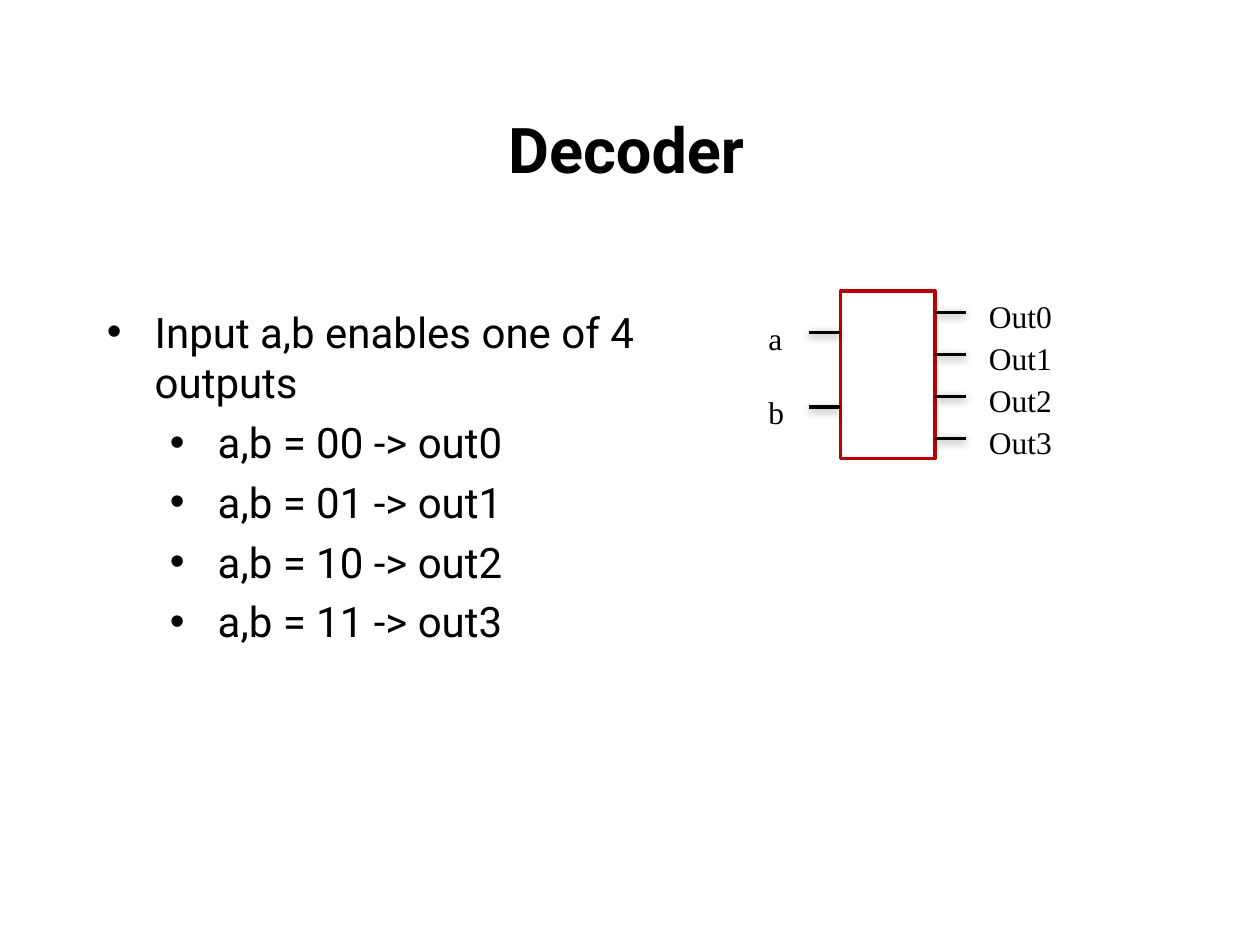
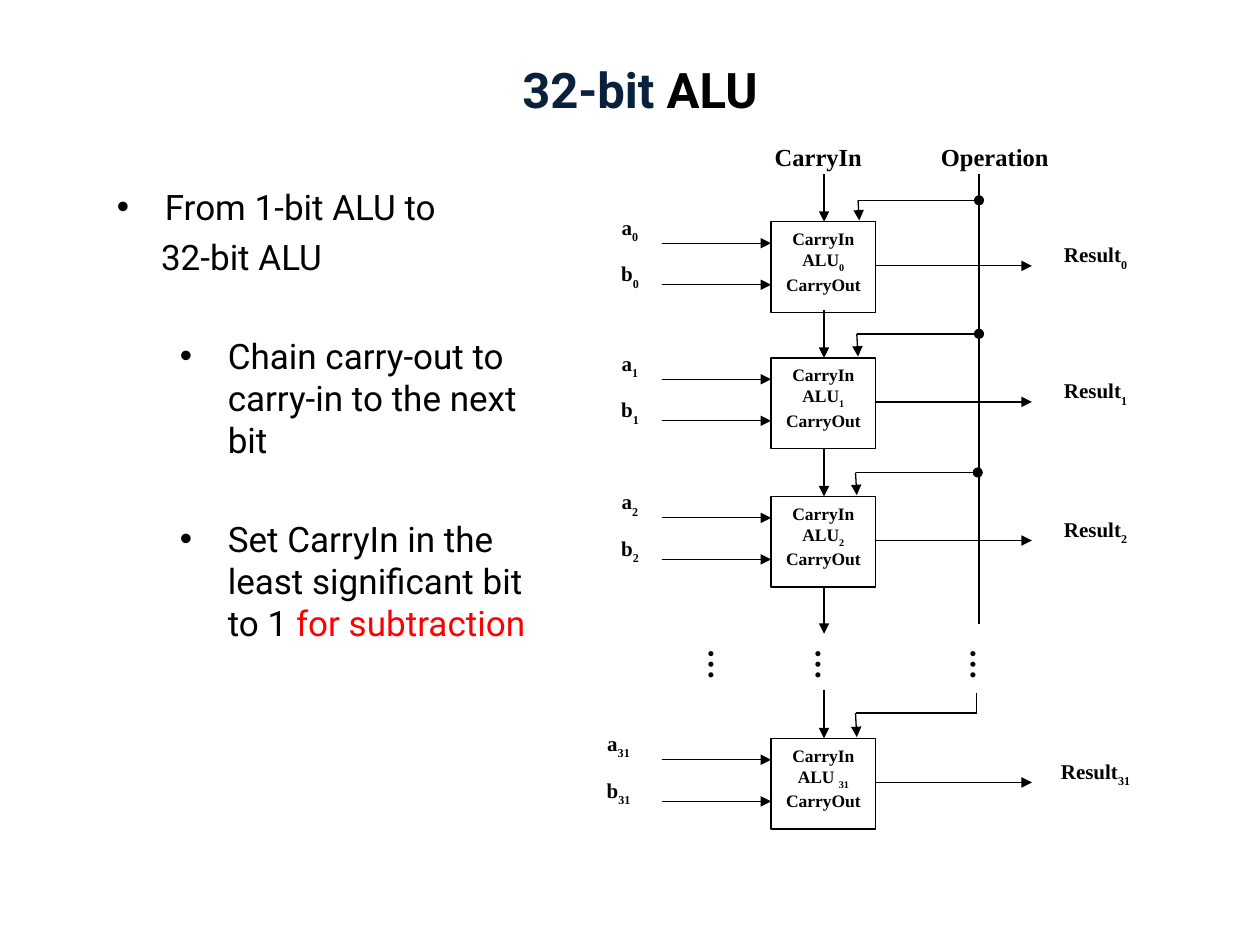
from dataclasses import dataclass
from typing import Optional

from lxml import etree
from pptx import Presentation
from pptx import util as u
from pptx.dml.color import RGBColor
from pptx.enum import shapes, text
from pptx.oxml import ns

COLORS = {"ink": "000000", "paper": "FFFFFF", "navy": "09213B",
          "alert": "FF0000", "block": "C00000"}
SANS, SERIF = "Roboto", "Times New Roman"
LEFT, CENTER = text.PP_ALIGN.LEFT, text.PP_ALIGN.CENTER


@dataclass(frozen=True)
class Piece:
    """One run of text."""
    words: str
    color: str = "ink"
    subscript: bool = False


@dataclass(frozen=True)
class Style:
    font: str
    size: float
    bold: bool = False
    align: text.PP_ALIGN = LEFT


@dataclass(frozen=True)
class Point:
    """One paragraph of body text; indents in inches, space before in points."""
    pieces: tuple[Piece, ...]
    margin: float
    space: float = 0
    bullet: bool = True


@dataclass(frozen=True)
class Stage:
    """One ALU of the chain, with the corner of its Operation branch."""
    index: str
    top: float
    branch_x: float
    branch_y: float
    tap_x: Optional[float] = None
    name: str = "ALU"
    operand_left: float = 4.76


TITLE_SLIDE_1 = Style(SANS, 36, True, CENTER)
TITLE_SLIDE_2 = Style(SANS, 28, True, CENTER)
PIN = Style(SERIF, 18)
ALU_TEXT = Style(SERIF, 10, True, CENTER)
SIGNAL = Style(SERIF, 12, True, CENTER)
HEADING = Style(SERIF, 14, True, CENTER)
DOTS = Style(SERIF, 18, True, CENTER)

HANG, LEVEL_1, LEVEL_2 = 0.38, 0.38, 0.88
TIGHT = 0.05

DECODER_POINTS = [
    Point((Piece("Input a,b enables one of 4 outputs"),), LEVEL_1),
    *(Point((Piece(f"a,b = {code:02b} -> out{code}"),), LEVEL_2, 5.4)
      for code in range(4)),
]
ALU_POINTS = [
    Point((Piece("From 1-bit ALU to"),), LEVEL_1),
    Point((Piece("32-bit ALU"),), 0.35, 4.6, bullet=False),
    Point((Piece("Chain carry-out to carry-in to the next bit"),), LEVEL_2, 32.6),
    Point((Piece("Set CarryIn in the least significant bit to 1 "),
           Piece("for subtraction", "alert")), LEVEL_2, 32.6),
]
STAGES = [
    Stage("0", 1.76, 6.81, 1.59, 7.77),
    Stage("1", 2.84, 6.80, 2.65, 7.77),
    Stage("2", 3.94, 6.79, 3.75, 7.76),
    Stage("31", 5.86, 6.79, 5.66, name="ALU ", operand_left=4.58),
]


def rgb(name: str) -> RGBColor:
    return RGBColor.from_string(COLORS[name])


def add_runs(paragraph, pieces: tuple[Piece, ...], style: Style) -> None:
    paragraph.alignment = style.align
    for piece in pieces:
        run = paragraph.add_run()
        run.text = piece.words
        run.font.name = style.font
        run.font.size = u.Pt(style.size)
        run.font.bold = style.bold
        run.font.color.rgb = rgb(piece.color)
        if piece.subscript:
            run.font._element.set("baseline", "-30000")


def set_up_frame(frame, inset: Optional[float] = None) -> None:
    frame.word_wrap = True
    frame.vertical_anchor = text.MSO_ANCHOR.TOP
    if inset is not None:
        frame.margin_left = frame.margin_right = u.Inches(inset)
        frame.margin_top = frame.margin_bottom = u.Inches(inset)


def add_label(slide, left: float, top: float, width: float, height: float,
              pieces: tuple[Piece, ...], style: Style,
              inset: Optional[float] = None, rotation: float = 0) -> None:
    box = slide.shapes.add_textbox(*map(u.Inches, (left, top, width, height)))
    box.rotation = rotation
    set_up_frame(box.text_frame, inset)
    add_runs(box.text_frame.paragraphs[0], pieces, style)


def add_body(slide, left: float, top: float, width: float, height: float,
             points: list[Point], size: float) -> None:
    box = slide.shapes.add_textbox(*map(u.Inches, (left, top, width, height)))
    set_up_frame(box.text_frame)
    for number, point in enumerate(points):
        frame = box.text_frame
        paragraph = frame.add_paragraph() if number else frame.paragraphs[0]
        if number:
            paragraph.space_before = u.Pt(point.space)
        properties = paragraph._p.get_or_add_pPr()
        properties.set("marL", str(u.Inches(point.margin)))
        if point.bullet:
            properties.set("indent", str(-u.Inches(HANG)))
            font = etree.SubElement(properties, ns.qn("a:buFont"))
            font.set("typeface", "Arial")
            etree.SubElement(properties, ns.qn("a:buChar")).set("char", "•")
        add_runs(paragraph, point.pieces, Style(SANS, size))


def add_shape(slide, kind: shapes.MSO_SHAPE, left: float, top: float,
              width: float, height: float, line: str, weight: float,
              fill: Optional[str] = None):
    shape = slide.shapes.add_shape(kind, *map(u.Inches, (left, top, width, height)))
    shape.shadow.inherit = False
    if fill:
        shape.fill.solid()
        shape.fill.fore_color.rgb = rgb(fill)
    else:
        shape.fill.background()
    shape.line.color.rgb = rgb(line)
    shape.line.width = u.Pt(weight)
    return shape


def add_wire(slide, x1: float, y1: float, x2: float, y2: float,
             weight: float = 0.75, arrow: bool = False, shadow: bool = False) -> None:
    wire = slide.shapes.add_connector(shapes.MSO_CONNECTOR.STRAIGHT,
                                      *map(u.Inches, (x1, y1, x2, y2)))
    wire.line.color.rgb = rgb("ink")
    wire.line.width = u.Pt(weight)
    if arrow:
        etree.SubElement(wire.line._get_or_add_ln(), ns.qn("a:tailEnd")).set("type", "triangle")
    effects = etree.SubElement(wire._element.spPr, ns.qn("a:effectLst"))
    if shadow:
        cast = etree.SubElement(effects, ns.qn("a:outerShdw"), blurRad=str(u.Pt(5)),
                                dist=str(u.Pt(1.6)), dir="5400000", rotWithShape="0")
        tint = etree.SubElement(cast, ns.qn("a:srgbClr"), val=COLORS["ink"])
        etree.SubElement(tint, ns.qn("a:alpha"), val="38000")


def build_decoder(slide) -> None:
    add_body(slide, 0.75, 2.38, 4.83, 4.62, DECODER_POINTS, 24)
    left, top, width, pin_length = 6.67, 2.31, 0.75, 0.25
    right = left + width
    add_shape(slide, shapes.MSO_SHAPE.RECTANGLE, left, top, width, 1.33,
              "block", 2, "paper")
    for name, y in (("a", 2.64), ("b", 3.23)):
        add_wire(slide, left - pin_length, y, left, y, 2, shadow=True)
        add_label(slide, 6, y - 0.16, 0.33, 0.4, (Piece(name),), PIN)
    for output in range(4):
        y = top + 0.17 + output / 3
        add_wire(slide, right, y, right + pin_length, y, 2, shadow=True)
        add_label(slide, 7.75, y - 0.17, 1, 0.4, (Piece(f"Out{output}"),), PIN)
    add_label(slide, 0.72, 0.83, 8.5, 0.71, (Piece("Decoder"),), TITLE_SLIDE_1)


def add_stage(slide, stage: Stage) -> None:
    left, width, height, carry_x, bus_x = 6.12, 0.83, 0.72, 6.54, 7.75
    top, index = stage.top, Piece(stage.index, subscript=True)
    alu = add_shape(slide, shapes.MSO_SHAPE.RECTANGLE, left, top, width, height,
                    "ink", 0.75)
    frame = alu.text_frame
    set_up_frame(frame, TIGHT)
    add_runs(frame.paragraphs[0], (Piece("CarryIn"),), ALU_TEXT)
    add_runs(frame.add_paragraph(), (Piece(stage.name), index), ALU_TEXT)
    add_runs(frame.add_paragraph(), (Piece("CarryOut"),), ALU_TEXT)

    operand_width = 5.24 - stage.operand_left
    for name, label_drop, wire_drop in (("a", -0.11, 0.17), ("b", 0.26, 0.5)):
        add_label(slide, stage.operand_left, top + label_drop, operand_width, 0.35,
                  (Piece(name), index), SIGNAL, TIGHT)
        add_wire(slide, 5.25, top + wire_drop, left, top + wire_drop, arrow=True)
    add_wire(slide, carry_x, top - 0.38, carry_x, top, arrow=True)
    add_wire(slide, left + width, top + 0.35, 8.19, top + 0.35, arrow=True)
    add_label(slide, 8.05, top + 0.11, 1.29, 0.35, (Piece("Result"), index),
              SIGNAL, TIGHT)

    add_wire(slide, stage.branch_x, stage.branch_y, bus_x, stage.branch_y)
    add_wire(slide, stage.branch_x, stage.branch_y, stage.branch_x + 0.01, top - 0.01,
             arrow=True)
    if stage.tap_x:
        dot = 0.07
        add_shape(slide, shapes.MSO_SHAPE.OVAL, stage.tap_x - dot / 2,
                  stage.branch_y - dot / 2, dot, dot, "ink", 0.75, "ink")


def build_alu(slide) -> None:
    for heading, left, width in (("CarryIn", 5.92, 1.15), ("Operation", 7.25, 1.29)):
        add_label(slide, left, 1.08, width, 0.35, (Piece(heading),), HEADING, TIGHT)
    for stage in STAGES:
        add_stage(slide, stage)
    add_wire(slide, 6.54, 4.66, 6.54, 5.03, arrow=True)
    add_wire(slide, 7.77, 1.38, 7.77, 4.95)
    add_wire(slide, 7.75, 5.5, 7.75, 5.66)
    for left in (5.21, 6.06, 7.29):
        add_label(slide, left, 5.1, 0.65, 0.35, (Piece("…"),), DOTS, TIGHT, 270)
    add_body(slide, 0.83, 1.42, 3.67, 4.42, ALU_POINTS, 20)
    add_label(slide, 0.83, 0.42, 8.5, 0.71, (Piece("32-bit ", "navy"), Piece("ALU")),
              TITLE_SLIDE_2)


def main() -> None:
    deck = Presentation()
    deck.slide_width, deck.slide_height = u.Inches(10), u.Inches(7.5)
    for build in (build_decoder, build_alu):
        build(deck.slides.add_slide(deck.slide_layouts[6]))
    deck.save("out.pptx")


if __name__ == "__main__":
    main()
